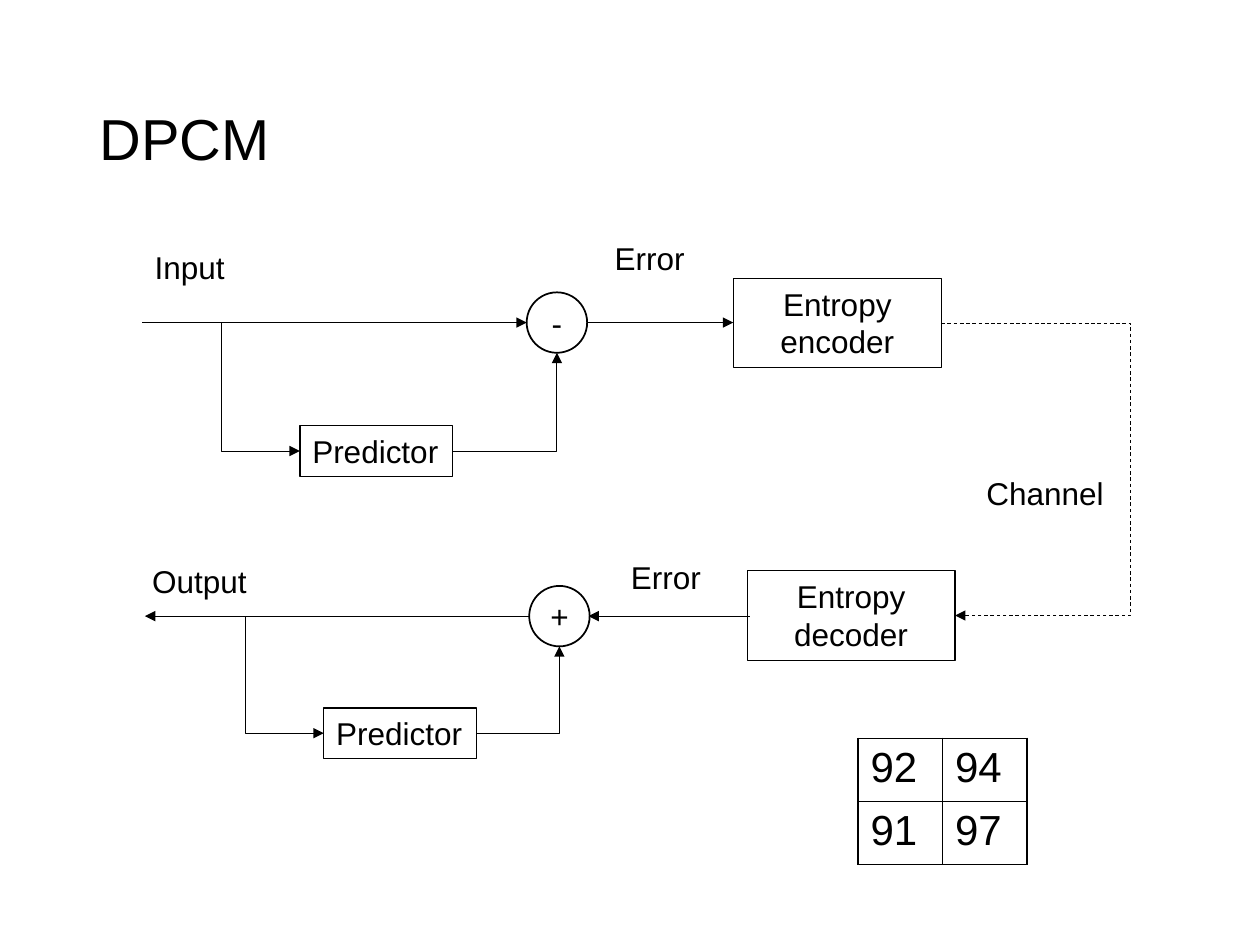
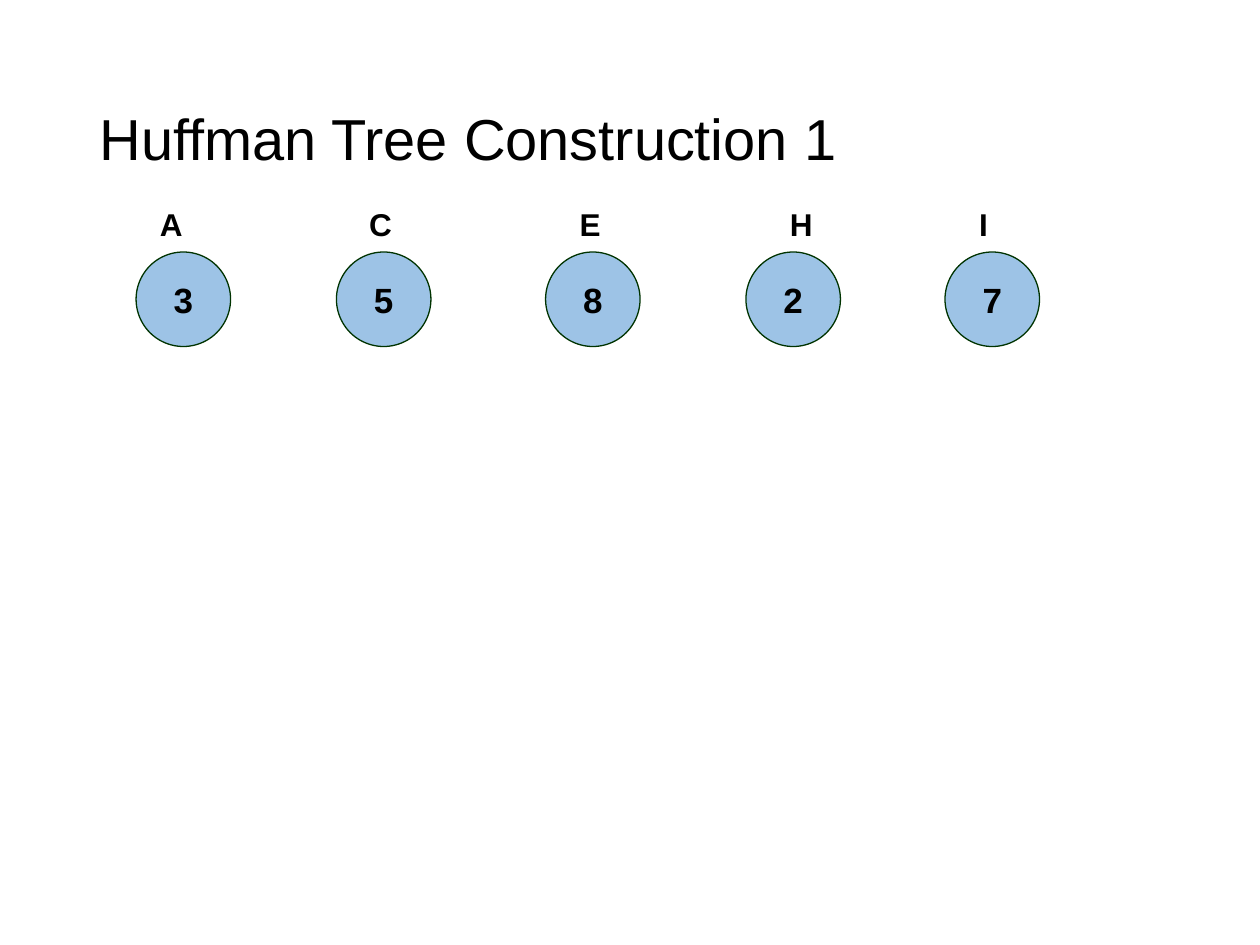
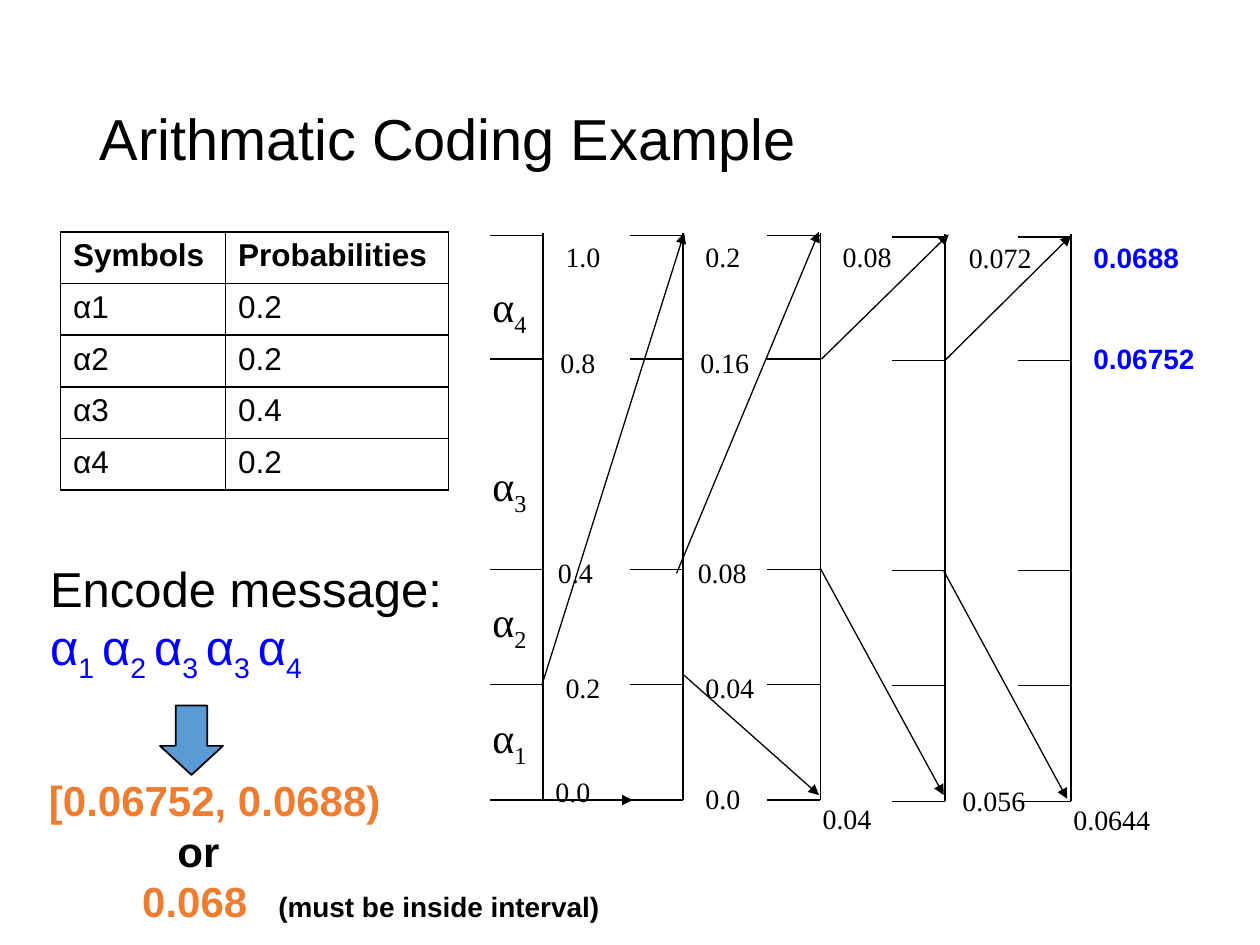
from dataclasses import dataclass
from typing import Any, Optional

from lxml import etree
from pptx import Presentation
from pptx import util as u
from pptx.dml.color import RGBColor
from pptx.enum import dml, shapes, text
from pptx.oxml.ns import qn

PX = 9144
COLORS = {
    "ink": "000000",
    "paper": "FFFFFF",
    "node": "9DC3E6",
    "node_edge": "003300",
    "arrow": "5B9BD5",
    "message": "0000FF",
    "result": "ED7D31",
}
SANS, SERIF = "Arial", "Times New Roman"
LEFT, CENTER = text.PP_ALIGN.LEFT, text.PP_ALIGN.CENTER
TOP, MIDDLE = text.MSO_ANCHOR.TOP, text.MSO_ANCHOR.MIDDLE
RECT, OVAL = shapes.MSO_SHAPE.RECTANGLE, shapes.MSO_SHAPE.OVAL
SITE_LEFT, SITE_BOTTOM, SITE_RIGHT = 1, 2, 3
OVAL_SITE_BOTTOM = 4


@dataclass(frozen=True)
class Style:
    size: float = 18
    font: str = SANS
    color: str = "ink"
    bold: bool = False
    baseline: int = 0


@dataclass(frozen=True)
class Span:
    words: str
    style: Style = Style()


@dataclass(frozen=True)
class Line:
    spans: tuple[Span, ...]
    tabs: tuple[int, ...] = ()


@dataclass(frozen=True)
class Box:
    x: int
    y: int
    w: int
    h: int


@dataclass(frozen=True)
class Block:
    words: str
    box: Box
    kind: Any = RECT
    style: Style = Style()
    fill: Optional[str] = None
    edge: str = "ink"
    weight: float = 0.75
    anchor: Any = MIDDLE
    wrap: bool = True


@dataclass(frozen=True)
class Label:
    words: str
    x: int
    y: int
    w: int = 67
    style: Style = Style(16, SERIF)


@dataclass(frozen=True)
class Scale:
    x: int
    drop: int
    labels: tuple[Label, ...]


@dataclass(frozen=True)
class Coder:
    operator: Block
    predictor: Block
    tap: tuple[int, int]


def px(length: int) -> int:
    return u.Emu(length * PX)


def rgb(name: str) -> RGBColor:
    return RGBColor.from_string(COLORS[name])


def place(box: Box) -> tuple[int, ...]:
    return px(box.x), px(box.y), px(box.w), px(box.h)


def assign(target: Any, formats: dict[str, Any]) -> None:
    for name, value in formats.items():
        setattr(target, name, value)


def style_font(font: Any, style: Style) -> None:
    assign(font, {"size": u.Pt(style.size), "name": style.font, "bold": style.bold})
    font.color.rgb = rgb(style.color)


def write_lines(frame: Any, lines: tuple[Line, ...], align: Any = LEFT) -> None:
    for number, line in enumerate(lines):
        paragraph = frame.add_paragraph() if number else frame.paragraphs[0]
        paragraph.alignment = align
        if line.tabs:
            stops = etree.SubElement(paragraph._p.get_or_add_pPr(), qn("a:tabLst"))
            for stop in line.tabs:
                etree.SubElement(stops, qn("a:tab"), pos=str(px(stop)), algn="l")
        for span in line.spans:
            run = paragraph.add_run()
            run.text = span.words
            style_font(run.font, span.style)
            if span.style.baseline:
                run.font._element.set("baseline", str(span.style.baseline * 1000))


def add_text(slide: Any, box: Box, lines: tuple[Line, ...], wrap: bool = False,
             align: Any = LEFT) -> None:
    frame = slide.shapes.add_textbox(*place(box)).text_frame
    assign(frame, {"word_wrap": wrap, "auto_size": text.MSO_AUTO_SIZE.SHAPE_TO_FIT_TEXT})
    write_lines(frame, lines, align)


def add_label(slide: Any, label: Label, height: int = 37, wrap: bool = True,
              align: Any = LEFT) -> None:
    box = Box(label.x, label.y, label.w, height)
    add_text(slide, box, (Line((Span(label.words, label.style),)),), wrap, align)


def add_block(slide: Any, block: Block, align: Any = CENTER) -> Any:
    shape = slide.shapes.add_shape(block.kind, *place(block.box))
    shape.shadow.inherit = False
    if block.fill:
        shape.fill.solid()
        shape.fill.fore_color.rgb = rgb(block.fill)
    else:
        shape.fill.background()
    shape.line.color.rgb = rgb(block.edge)
    shape.line.width = u.Pt(block.weight)
    assign(shape.text_frame, {"word_wrap": block.wrap, "vertical_anchor": block.anchor})
    if block.words:
        write_lines(shape.text_frame, (Line((Span(block.words, block.style),)),), align)
    return shape


def add_line(slide: Any, start: tuple[int, int], end: tuple[int, int], weight: float = 0.75,
             tip: str = "", dashed: bool = False, bends: int = 0) -> Any:
    kind = shapes.MSO_CONNECTOR.ELBOW if bends else shapes.MSO_CONNECTOR.STRAIGHT
    link = slide.shapes.add_connector(kind, *(px(value) for value in start + end))
    link.line.color.rgb = rgb("ink")
    link.line.width = u.Pt(weight)
    if dashed:
        link.line.dash_style = dml.MSO_LINE.DASH
    outline = link._element.spPr
    if tip:
        etree.SubElement(outline.find(qn("a:ln")), qn(f"a:{tip}"), type="triangle")
    etree.SubElement(outline, qn("a:effectLst"))
    if bends == 1:
        outline.find(qn("a:prstGeom")).set("prst", "bentConnector2")
    return link


def add_grid(slide: Any, box: Box, widths: tuple[int, ...], rows: tuple[tuple[str, ...], ...],
             size: float, header: bool = False) -> None:
    table = slide.shapes.add_table(len(rows), len(widths), *place(box)).table
    assign(table, {"first_row": header, "horz_banding": False})
    for column, width in zip(table.columns, widths):
        column.width = px(width)
    for r, row in enumerate(rows):
        table.rows[r].height = px(box.h // len(rows))
        for c, words in enumerate(row):
            cell = table.cell(r, c)
            style = Style(size, bold=header and r == 0)
            write_lines(cell.text_frame, (Line((Span(words, style),)),))
            properties = cell._tc.get_or_add_tcPr()
            for side in ("lnL", "lnR", "lnT", "lnB"):
                border = etree.SubElement(properties, qn(f"a:{side}"), w=str(u.Pt(1)))
                paint = etree.SubElement(border, qn("a:solidFill"))
                etree.SubElement(paint, qn("a:srgbClr"), val=COLORS["ink"])
            cell.fill.background()


def new_slide(deck: Any, heading: str) -> Any:
    slide = deck.slides.add_slide(deck.slide_layouts[5])
    title = slide.shapes.title
    assign(title, dict(zip(("left", "top", "width", "height"), place(Box(69, 40, 862, 145)))))
    assign(title.text_frame, {"vertical_anchor": MIDDLE, "word_wrap": True,
                              "auto_size": text.MSO_AUTO_SIZE.NONE})
    write_lines(title.text_frame, (Line((Span(heading, Style(33)),)),))
    title.text_frame.paragraphs[0].line_spacing = 0.9
    return slide


def draw_coder(slide: Any, coder: Coder) -> None:
    operator = add_block(slide, coder.operator)
    predictor = add_block(slide, coder.predictor, LEFT)
    feedback = add_line(slide, (0, 0), (10, 10), 0.5, "tailEnd", bends=1)
    feedback.begin_connect(predictor, SITE_RIGHT)
    feedback.end_connect(operator, SITE_BOTTOM)
    feedback._element.nvCxnSpPr.cNvCxnSpPr.endCxn.idx = OVAL_SITE_BOTTOM
    box = coder.predictor.box
    tap = add_line(slide, (box.x, box.y + box.h // 2), coder.tap, 0.5, "headEnd", bends=1)
    tap.begin_connect(predictor, SITE_LEFT)


def build_dpcm(deck: Any) -> None:
    slide = new_slide(deck, "DPCM")
    encoder, decoder = (
        add_block(slide, Block(words, Box(x, y, 165, 71), anchor=TOP))
        for words, x, y in (("Entropy encoder", 582, 221), ("Entropy decoder", 593, 453))
    )
    for sign, operator_x, operator_y, predictor_x, predictor_y, tap in (
        ("-", 418, 232, 238, 338, (176, 256)),
        ("+", 420, 465, 257, 562, (195, 489)),
    ):
        draw_coder(slide, Coder(
            Block(sign, Box(operator_x, operator_y, 48, 48), OVAL, fill="paper", weight=1),
            Block("Predictor", Box(predictor_x, predictor_y, 121, 40), anchor=TOP, wrap=False),
            tap,
        ))
    for start, end, y in ((113, 418, 256), (466, 582, 256), (420, 115, 489), (595, 467, 489)):
        add_line(slide, (start, y), (end, y), 0.5, "tailEnd")
    channel = add_line(slide, (747, 256), (758, 489), 0.5, "tailEnd", True, bends=2)
    channel.begin_connect(encoder, SITE_RIGHT)
    channel.end_connect(decoder, SITE_RIGHT)
    geometry = channel._element.spPr.find(qn("a:prstGeom"))
    guides = geometry.find(qn("a:avLst"))
    if guides is None:
        guides = etree.SubElement(geometry, qn("a:avLst"))
    etree.SubElement(guides, qn("a:gd"), name="adj1", fmla="val 1369900")
    for words, x, y, width in (
        ("Error", 478, 185, 76), ("Error", 491, 438, 76), ("Channel", 773, 371, 114),
        ("Input", 113, 192, 76), ("Output", 111, 441, 96),
    ):
        add_label(slide, Label(words, x, y, width, Style()), 40, False)
    add_grid(slide, Box(681, 586, 134, 100), (67, 67), (("92", "94"), ("91", "97")), 24)


def build_huffman(deck: Any) -> None:
    slide = new_slide(deck, "Huffman Tree Construction 1")
    for letter, count, node_x, letter_x, letter_width in (
        ("A", "3", 108, 117, 38), ("C", "5", 267, 283, 38), ("E", "8", 433, 450, 37),
        ("H", "2", 592, 617, 38), ("I", "7", 750, 767, 27),
    ):
        add_block(slide, Block(count, Box(node_x, 200, 75, 75), OVAL, Style(20, bold=True),
                               "node", "node_edge", wrap=False))
        add_label(slide, Label(letter, letter_x, 158, letter_width, Style(bold=True)),
                  40, False, CENTER)


def draw_scale(slide: Any, scale: Scale) -> None:
    add_line(slide, (scale.x, 185 + scale.drop), (scale.x, 635 + scale.drop))
    for tick in (187, 285, 452, 543, 635):
        y = tick + scale.drop
        add_line(slide, (scale.x - 42, y), (scale.x, y))
    for label in scale.labels:
        add_label(slide, label)


def build_arithmetic(deck: Any) -> None:
    slide = new_slide(deck, "Arithmatic Coding Example")
    add_grid(slide, Box(48, 184, 308, 205), (131, 177), (
        ("Symbols", "Probabilities"), ("α1", "0.2"), ("α2", "0.2"), ("α3", "0.4"), ("α4", "0.2"),
    ), 18, True)
    bound = Style(16, color="message", bold=True)
    for scale in (
        Scale(431, 0, (Label("1.0", 439, 185), Label("0.8", 435, 269), Label("0.4", 433, 436),
                       Label("0.2", 439, 527), Label("0.0", 431, 610))),
        Scale(542, 0, (Label("0.2", 550, 185), Label("0.16", 546, 269), Label("0.08", 544, 436),
                       Label("0.04", 550, 527), Label("0.0", 550, 615))),
        Scale(651, 0, (Label("0.08", 659, 185), Label("0.04", 643, 631, 92))),
        Scale(750, 1, (Label("0.072", 759, 186, 98), Label("0.056", 754, 617, 92))),
        Scale(850, 1, (Label("0.0688", 858, 186, 98, bound), Label("0.06752", 858, 266, 128, bound),
                       Label("0.0644", 842, 632, 92))),
    ):
        draw_scale(slide, scale)
    for start, end in (
        ((431, 635), (502, 635)), ((430, 544), (543, 185)),
        ((543, 536), (650, 631)), ((537, 455), (650, 184)),
        ((652, 285), (753, 186)), ((651, 451), (749, 631)),
        ((750, 286), (850, 187)), ((749, 453), (847, 634)),
    ):
        add_line(slide, start, end, tip="tailEnd")
    for digit, y in (("1", 560), ("2", 468), ("3", 360), ("4", 218)):
        symbol = (Span("α", Style(24, SERIF)), Span(digit, Style(24, SERIF, baseline=-25)))
        add_text(slide, Box(381, y, 49, 51), (Line(symbol),))

    letter = Style(28, color="message")
    index = Style(28, color="message", baseline=-25)
    message = tuple(
        span for digit in ("1 ", "2 ", "3 ", "3 ", "4")
        for span in (Span("α", letter), Span(digit, index))
    )
    add_text(slide, Box(30, 438, 357, 104),
             (Line((Span("Encode message:", Style(28)),)), Line(message)))

    arrow = add_block(slide, Block("", Box(127, 560, 50, 55), shapes.MSO_SHAPE.DOWN_ARROW,
                                   fill="arrow", weight=1))
    arrow.adjustments[1] = 0.46
    result = Style(24, color="result", bold=True)
    add_text(slide, Box(29, 610, 462, 131), (
        Line((Span("[0.06752, 0.0688)", result),)),
        Line((Span("\tor", Style(24, bold=True)),), (102,)),
        Line((Span("\t0.068\t", result),
              Span("(must be inside interval)", Style(16, bold=True))), (74, 182)),
    ), True)


def main() -> None:
    deck = Presentation()
    assign(deck, {"slide_width": px(1000), "slide_height": px(750)})
    for build in (build_dpcm, build_huffman, build_arithmetic):
        build(deck)
    deck.save("out.pptx")


if __name__ == "__main__":
    main()
